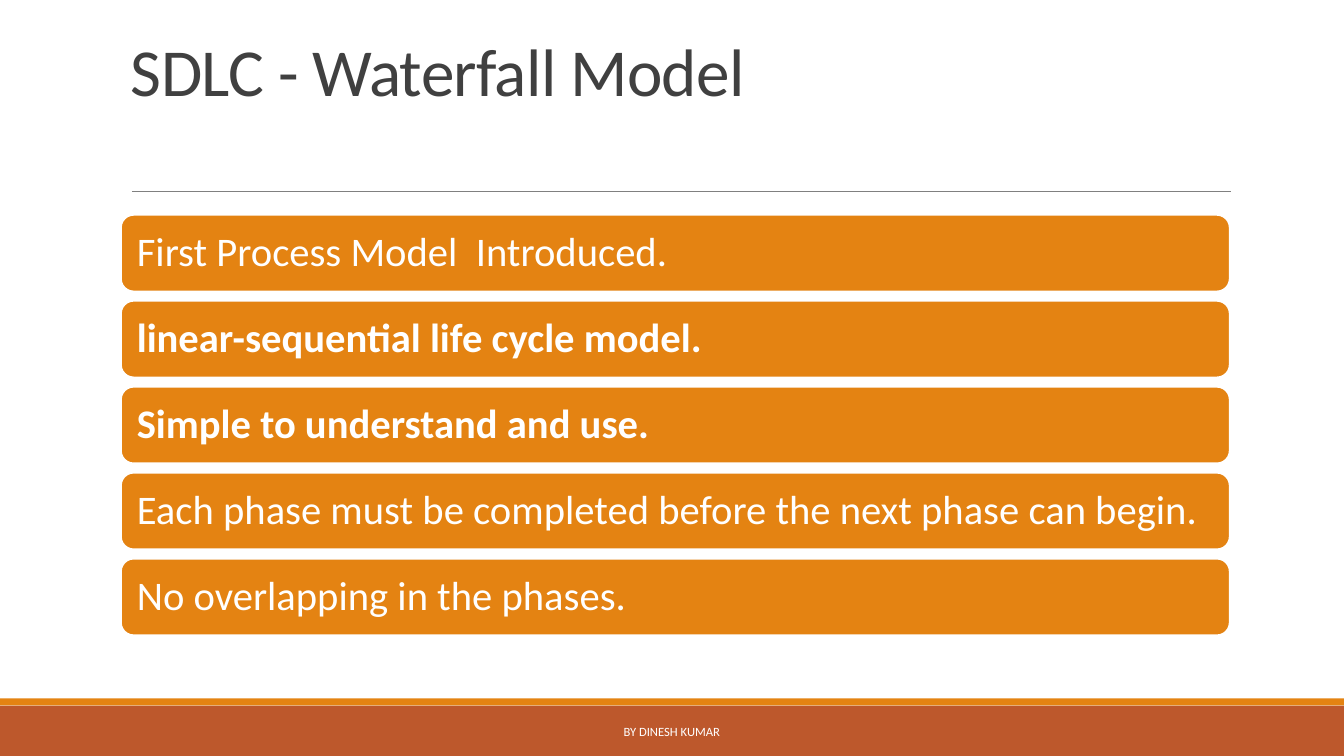
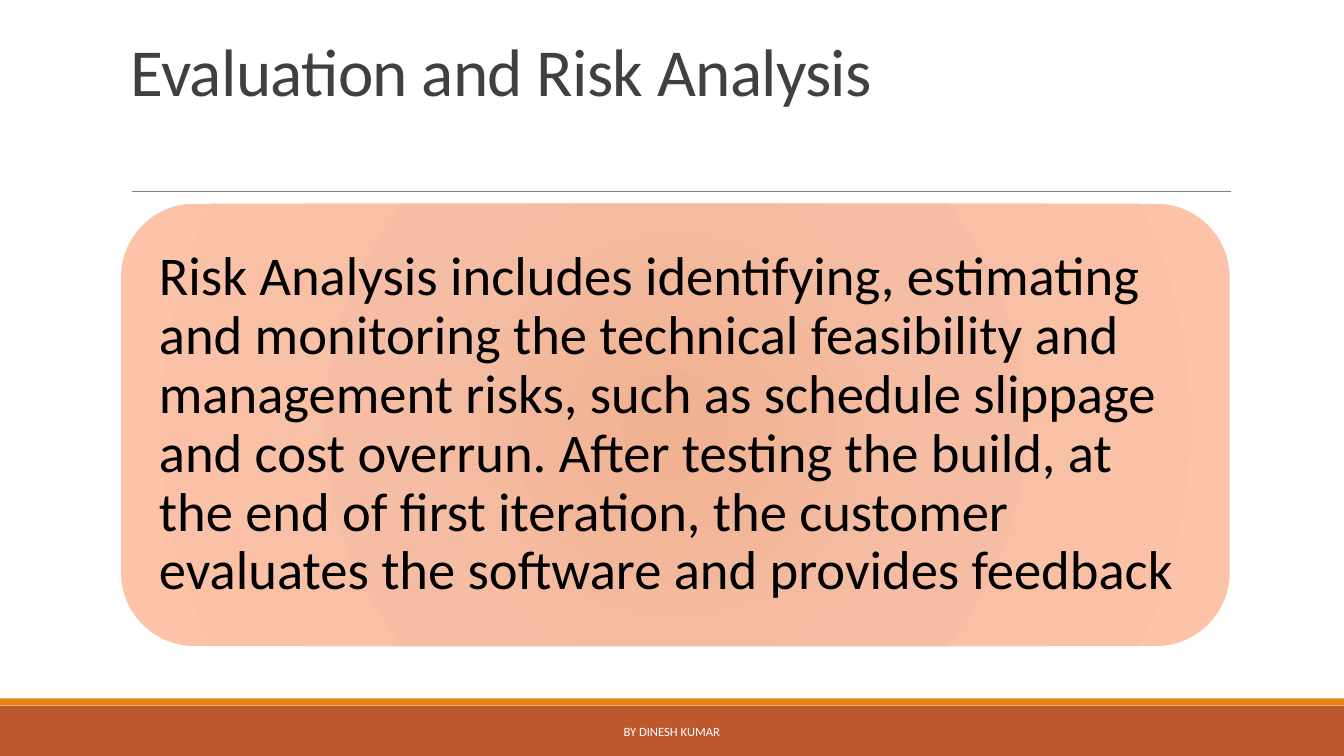
from lxml import etree
from pptx import Presentation
from pptx.dml.color import RGBColor
from pptx.enum.shapes import MSO_CONNECTOR, MSO_SHAPE
from pptx.enum.text import MSO_ANCHOR, PP_ALIGN
from pptx.oxml import parse_xml
from pptx.oxml.ns import nsdecls, qn
from pptx.util import Pt

MODEL_TITLE = "SDLC - Waterfall Model"
MODEL_POINTS = [  # text, bold
    ("First Process Model  Introduced.", False),
    ("linear-sequential life cycle model.", True),
    ("Simple to understand and use.", True),
    ("Each phase must be completed before the next phase can begin.", False),
    ("No overlapping in the phases.", False),
]
RISK_TITLE = "Evaluation and Risk Analysis"
RISK_TEXT = (
    "Risk Analysis includes identifying, estimating and monitoring the technical "
    "feasibility and management risks, such as schedule slippage and cost overrun. "
    "After testing the build, at the end of first iteration, the customer evaluates "
    "the software and provides feedback"
)
FOOTER = "BY DINESH KUMAR"

FONT = "Calibri"
COLOURS = {
    "title": "404040",
    "rule": "808080",
    "rust": "BD582C",
    "orange": "E48312",
    "white": "FFFFFF",
    "black": "000000",
}
RISK_GRADIENT = [(0, "F0B191"), (45, "F5BEA4"), (100, "FDC3A8")]  # percent, colour

WIDTH, HEIGHT = 960, 540
LEFT, CONTENT_WIDTH = 86.4, 792
POINTS_TOP, POINT_HEIGHT, POINT_PITCH = 153.5, 54.7, 61.4


def colour(name):
    return RGBColor.from_string(COLOURS[name])


def add_block(page, kind, left, top, width, height, fill=None):
    block = page.shapes.add_shape(kind, Pt(left), Pt(top), Pt(width), Pt(height))
    block.shadow.inherit = False
    block.line.fill.background()
    if fill:
        block.fill.solid()
        block.fill.fore_color.rgb = colour(fill)
    return block


def write(shape, text, size, ink, bold=False, align=PP_ALIGN.LEFT,
          anchor=MSO_ANCHOR.MIDDLE, spacing=0.9, insets=(7.2, 3.6)):
    """Put one paragraph in a shape; insets are (sides, top and bottom)."""
    frame = shape.text_frame
    frame.word_wrap = True
    frame.vertical_anchor = anchor
    frame.margin_left = frame.margin_right = Pt(insets[0])
    frame.margin_top = frame.margin_bottom = Pt(insets[1])
    para = frame.paragraphs[0]
    para.alignment = align
    para.line_spacing = spacing
    span = para.add_run()
    span.text = text
    span.font.name = FONT
    span.font.size = Pt(size)
    span.font.bold = bold
    span.font.color.rgb = colour(ink)
    return span


def add_text(page, left, top, width, height, *args, **style):
    box = page.shapes.add_textbox(Pt(left), Pt(top), Pt(width), Pt(height))
    return write(box, *args, **style)


def add_page(deck, title):
    """Add a slide with the shared bands, rule, title and footer."""
    page = deck.slides.add_slide(deck.slide_layouts[6])
    add_block(page, MSO_SHAPE.RECTANGLE, 0, 504, WIDTH, 36, "rust")
    add_block(page, MSO_SHAPE.RECTANGLE, 0, 498.8, WIDTH, 5.1, "orange")

    rule = page.shapes.add_connector(
        MSO_CONNECTOR.STRAIGHT, Pt(94.3), Pt(136.8), Pt(879), Pt(136.8))
    rule.line.color.rgb = colour("rule")
    rule.line.width = Pt(0.5)
    etree.SubElement(rule.element.spPr, qn("a:effectLst"))

    heading = add_text(page, LEFT, 22.3, CONTENT_WIDTH, 114.5, title, 48, "title",
                       anchor=MSO_ANCHOR.TOP, spacing=0.85, insets=(7.2, 7.2))
    heading.font._element.set("spc", "-50")
    add_text(page, 290.2, 508.3, 379.4, 28.8, FOOTER, 9, "white",
             align=PP_ALIGN.CENTER, spacing=1.0)
    return page


def fill_radial(shape, stops):
    marks = "".join(
        f'<a:gs pos="{percent * 1000}"><a:srgbClr val="{value}"/></a:gs>'
        for percent, value in stops)
    gradient = parse_xml(
        f'<a:gradFill {nsdecls("a")} rotWithShape="1"><a:gsLst>{marks}</a:gsLst>'
        '<a:path path="circle">'
        '<a:fillToRect l="50000" t="50000" r="50000" b="50000"/>'
        '</a:path></a:gradFill>')
    shape.element.spPr.find(qn("a:prstGeom")).addnext(gradient)


def build_model(deck):
    page = add_page(deck, MODEL_TITLE)
    for index, (text, bold) in enumerate(MODEL_POINTS):
        bar = add_block(page, MSO_SHAPE.ROUNDED_RECTANGLE, LEFT,
                        POINTS_TOP + index * POINT_PITCH,
                        CONTENT_WIDTH, POINT_HEIGHT, "orange")
        bar.line.color.rgb = colour("white")
        bar.line.width = Pt(1.25)
        write(bar, text, 29, "white", bold=bold, insets=(8.7, 8.7))


def build_risk(deck):
    page = add_page(deck, RISK_TITLE)
    panel = add_block(page, MSO_SHAPE.ROUNDED_RECTANGLE,
                      LEFT, 145.5, CONTENT_WIDTH, 316)
    fill_radial(panel, RISK_GRADIENT)
    write(panel, RISK_TEXT, 39, "black", insets=(11.7, 11.7))


def main():
    deck = Presentation()
    deck.slide_width, deck.slide_height = Pt(WIDTH), Pt(HEIGHT)
    build_model(deck)
    build_risk(deck)
    deck.save("out.pptx")


if __name__ == "__main__":
    main()
